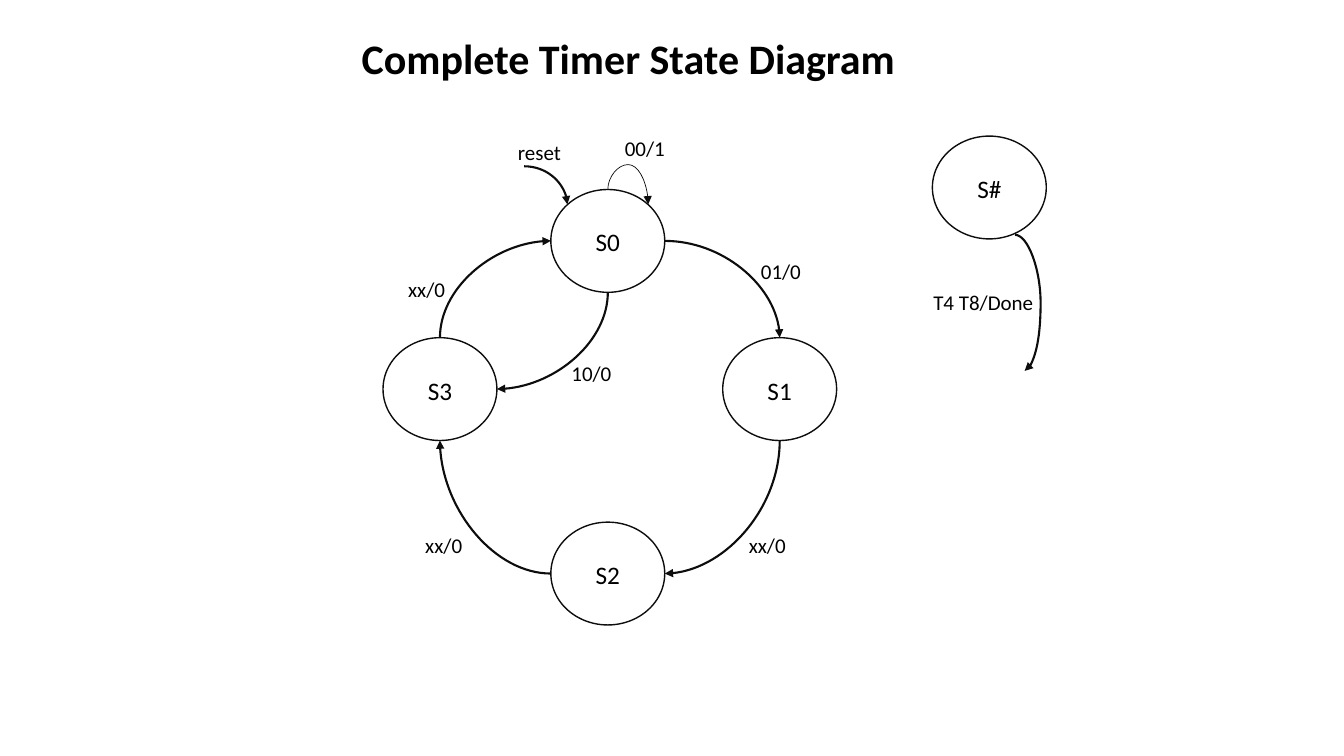
import dataclasses

import pptx
import pptx.dml.color
import pptx.enum.shapes
import pptx.enum.text
import pptx.oxml
import pptx.oxml.ns
import pptx.util


@dataclasses.dataclass(frozen=True)
class Theme:
    """Colours, font, type sizes and line widths."""
    font: str = "Calibri"
    ink: str = "000000"
    stroke: str = "0D0D0D"
    title: int = 30
    state: int = 18
    label: int = 15
    outline: float = 1
    arrow: float = 1.5
    thin: float = 0.5


THEME = Theme()
CELL = 0.1
COLUMNS, ROWS = 133.33, 75
RADIUS_X, RADIUS_Y = 5.65, 5.1
DIAGONAL = 0.71
STATES = {"S0": (60.3, 23.9), "S1": (77.35, 38.6), "S2": (60.3, 56.9),
          "S3": (43.65, 38.6), "S#": (98.15, 18.6)}
LABELS = [("reset", 50.4, 13.3), ("00/1", 61, 13), ("01/0", 74.5, 25.2),
          ("xx/0", 39.5, 26.9), ("10/0", 55.7, 35.3),
          ("xx/0", 41.2, 52.3), ("xx/0", 73.3, 52.3)]


def grid(cells):
    """Turn a number of grid cells into a length."""
    return pptx.util.Inches(cells * CELL)


def rim(state, across, down):
    """Return a point on the rim of a state, by direction from its centre."""
    column, row = STATES[state]
    return column + across * RADIUS_X, row + down * RADIUS_Y


def style_line(line, width):
    """Give a line the stroke colour and a width."""
    line.color.rgb = pptx.dml.color.RGBColor.from_string(THEME.stroke)
    line.width = pptx.util.Pt(width)


def add_text(slide, text, column, row, width=6.5, height=3.5,
             size=THEME.label, bold=False, centred=False):
    """Add one line of text in a box."""
    shape = slide.shapes.add_textbox(*map(grid, (column, row, width, height)))
    frame = shape.text_frame
    frame.word_wrap = True
    frame.auto_size = pptx.enum.text.MSO_AUTO_SIZE.SHAPE_TO_FIT_TEXT
    paragraph = frame.paragraphs[0]
    if centred:
        paragraph.alignment = pptx.enum.text.PP_ALIGN.CENTER
    run = paragraph.add_run()
    run.text = text
    run.font.name = THEME.font
    run.font.size = pptx.util.Pt(size)
    run.font.bold = bold
    run.font.color.rgb = pptx.dml.color.RGBColor.from_string(THEME.ink)


def add_state(slide, name):
    """Add a state ellipse with its name in the middle."""
    column, row = STATES[name]
    shape = slide.shapes.add_shape(
        pptx.enum.shapes.MSO_SHAPE.OVAL, grid(column - RADIUS_X),
        grid(row - RADIUS_Y), grid(2 * RADIUS_X), grid(2 * RADIUS_Y))
    shape.shadow.inherit = False
    shape.fill.background()
    style_line(shape.line, THEME.outline)
    add_text(slide, name, column - 3, row - 1.9, 6, 4,
             size=THEME.state, centred=True)


def turn_upright(connector, start, end):
    """Make a curve leave its start vertically."""
    across, down = end[0] - start[0], end[1] - start[1]
    middle_column, middle_row = (start[0] + end[0]) / 2, (start[1] + end[1]) / 2
    connector.left = grid(middle_column - abs(down) / 2)
    connector.top = grid(middle_row - abs(across) / 2)
    connector.width, connector.height = grid(abs(down)), grid(abs(across))
    transform = connector._element.spPr.find(pptx.oxml.ns.qn("a:xfrm"))
    transform.set("rot", "5400000")
    transform.set("flipH", str(int(down < 0)))
    transform.set("flipV", str(int(across > 0)))


def add_arrow(slide, start, end, upright=False, bulge=None, width=THEME.arrow):
    """Add a curved arrow: a quarter arc, or a loop when a bulge is given."""
    connector = slide.shapes.add_connector(
        pptx.enum.shapes.MSO_CONNECTOR.CURVE, *map(grid, start + end))
    if upright:
        turn_upright(connector, start, end)
    properties = connector._element.spPr
    geometry = properties.find(pptx.oxml.ns.qn("a:prstGeom"))
    if bulge is None:
        geometry.set("prst", "curvedConnector2")
    else:
        guides = geometry.find(pptx.oxml.ns.qn("a:avLst"))
        guide = guides.makeelement(pptx.oxml.ns.qn("a:gd"), {
            "name": "adj1", "fmla": f"val {round(bulge * 100000)}"})
        guides.append(guide)
    style_line(connector.line, width)
    stroke = properties.find(pptx.oxml.ns.qn("a:ln"))
    stroke.append(stroke.makeelement(
        pptx.oxml.ns.qn("a:tailEnd"), {"type": "triangle"}))
    properties.append(properties.makeelement(
        pptx.oxml.ns.qn("a:effectLst"), {}))


def main():
    """Build the slide and save it."""
    presentation = pptx.Presentation()
    presentation.slide_width = grid(COLUMNS)
    presentation.slide_height = grid(ROWS)
    slide = presentation.slides.add_slide(presentation.slide_layouts[6])

    add_text(slide, "Complete Timer State Diagram", 34.9, 2.7, 62.5, 6.1,
             size=THEME.title, bold=True)
    for name in STATES:
        add_state(slide, name)

    add_arrow(slide, (52, 16.5), rim("S0", -DIAGONAL, -DIAGONAL))
    add_arrow(slide, rim("S0", 0, -1), rim("S0", DIAGONAL, -DIAGONAL),
              upright=True, bulge=-1.67, width=THEME.thin)
    add_arrow(slide, rim("S0", 1, 0), rim("S1", 0, -1))
    add_arrow(slide, rim("S1", 0, 1), rim("S2", 1, 0), upright=True)
    add_arrow(slide, rim("S2", -1, 0), rim("S3", 0, 1))
    add_arrow(slide, rim("S3", 0, -1), rim("S0", -1, 0), upright=True)
    add_arrow(slide, rim("S0", 0, 1), rim("S3", 1, 0), upright=True)
    add_arrow(slide, (100.7, 23.3), (101.65, 36.8), bulge=2.67)

    for text, column, row in LABELS:
        add_text(slide, text, column, row)
    add_text(slide, "T4 T8/Done", 91.6, 28.2, 12.1)
    presentation.save("out.pptx")


main()
